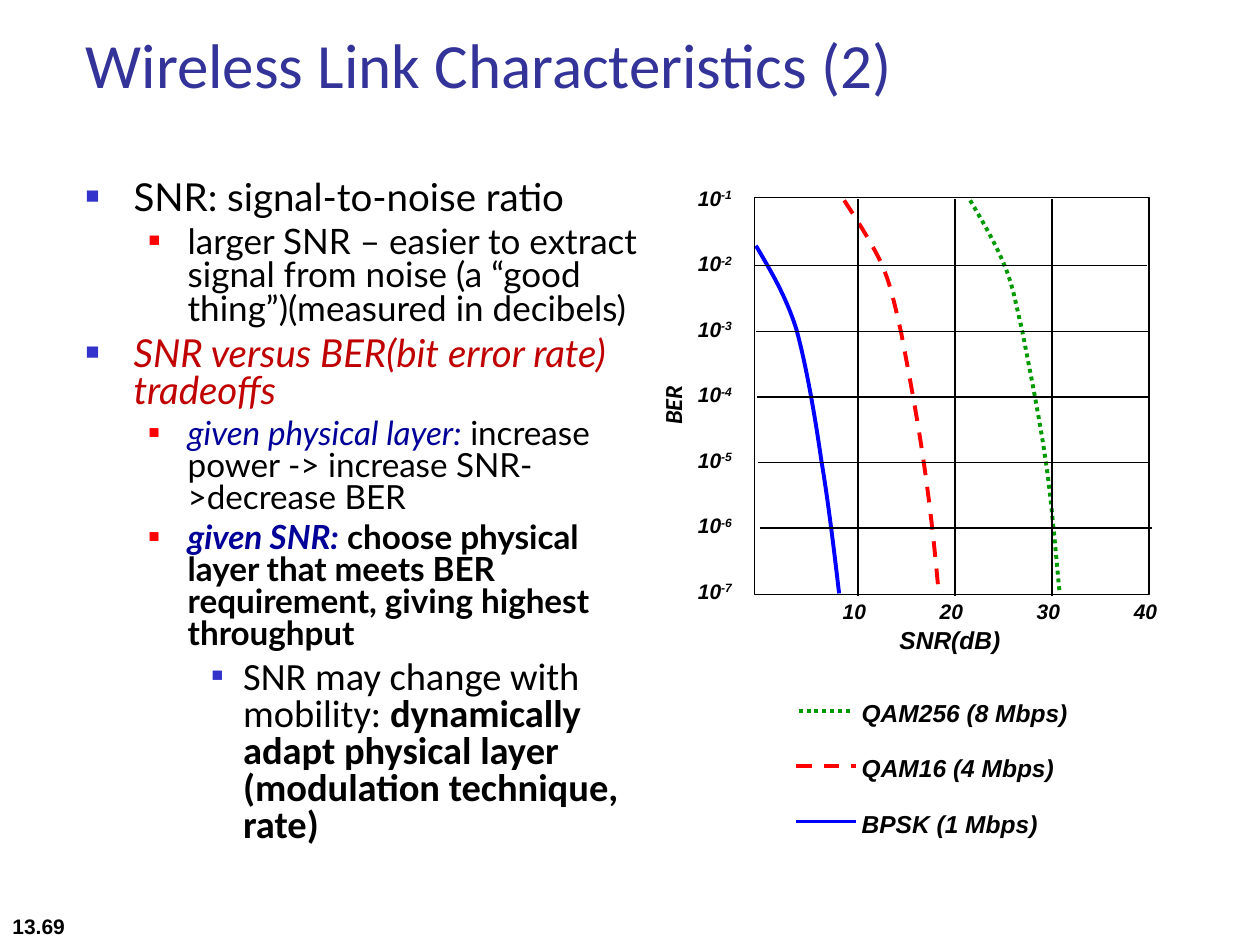
from lxml import etree
from pptx import Presentation
from pptx.dml.color import RGBColor
from pptx.enum import dml, shapes, text
from pptx.oxml import ns
from pptx.util import Inches, Pt

BLACK = RGBColor(0x00, 0x00, 0x00)
TITLE_BLUE = RGBColor(0x33, 0x33, 0x99)
BULLET_BLUE = RGBColor(0x33, 0x33, 0xCC)
NAVY = RGBColor(0x00, 0x00, 0x99)
DARK_RED = RGBColor(0xC0, 0x00, 0x00)
RED = RGBColor(0xFF, 0x00, 0x00)
BLUE = RGBColor(0x00, 0x00, 0xFF)
GREEN = RGBColor(0x00, 0x99, 0x00)

DASH = dml.MSO_LINE.DASH
DOTS = dml.MSO_LINE.ROUND_DOT  # written as sysDot

# Per list level: left margin, hanging indent, bullet colour, bullet size %
LEVELS = [
    (0.38, 0.38, BULLET_BLUE, 60),
    (0.81, 0.31, RED, 55),
    (1.25, 0.25, BULLET_BLUE, 50),
]

# Per paragraph: level, space before, runs of (text, format)
OUTLINE = [
    (0, 0, [("SNR: signal-to-noise ratio", dict(size=22))]),
    (1, 5, [("larger SNR – easier to extract signal from noise "
             "(a “good thing”)(measured in decibels)", dict(size=20))]),
    (0, 5.5, [("SNR versus BER(bit error rate) tradeoffs",
               dict(size=22, color=DARK_RED, italic=True))]),
    (1, 4.8, [("given physical layer:", dict(size=19, color=NAVY, italic=True)),
              (" increase power -> increase SNR->decrease BER", dict(size=19))]),
    (1, 4.8, [("given SNR:", dict(size=19, color=NAVY, bold=True, italic=True)),
              (" choose physical layer that meets BER requirement, "
               "giving highest throughput", dict(size=19, bold=True))]),
    (2, 5.5, [("SNR may change with mobility: ", dict(size=22, font="Calibri")),
              ("dynamically adapt physical layer (modulation technique, rate)",
               dict(size=22, font="Calibri", bold=True))]),
]

# Bézier control points, in inches from the top left corner of the plot
BPSK = [(0.01, 0.38), (0.12, 0.57), (0.24, 0.76), (0.33, 1.04), (0.41, 1.33),
        (0.48, 1.74), (0.53, 2.09), (0.59, 2.44), (0.65, 2.97), (0.67, 3.14)]
QAM16 = [(0.71, 0.02), (0.82, 0.19), (0.93, 0.36), (1.01, 0.53), (1.08, 0.7),
         (1.1, 0.8), (1.16, 1.06), (1.21, 1.32), (1.29, 1.74), (1.34, 2.09),
         (1.39, 2.43), (1.43, 2.79), (1.46, 3.14)]
QAM256 = [(1.71, 0.02), (1.81, 0.19), (1.91, 0.36), (1.98, 0.53), (2.05, 0.7),
          (2.06, 0.79), (2.12, 1.04), (2.17, 1.3), (2.26, 1.74), (2.31, 2.09),
          (2.36, 2.43), (2.4, 2.95), (2.42, 3.13)]


def add_text(paragraph, content, font="Arial", size=12, color=BLACK,
             bold=False, italic=False, superscript=False):
    run = paragraph.add_run()
    run.text = content
    run.font.name = font
    run.font.size = Pt(size)
    run.font.color.rgb = color
    run.font.bold = bold
    run.font.italic = italic
    if superscript:
        run._r.get_or_add_rPr().set("baseline", "30000")


def place(shape, left, top, width, height):
    shape.left, shape.top = Inches(left), Inches(top)
    shape.width, shape.height = Inches(width), Inches(height)


def add_label(slide, left, top, width, height, content, exponent="", **format):
    box = slide.shapes.add_textbox(
        Inches(left), Inches(top), Inches(width), Inches(height))
    box.text_frame.word_wrap = False
    box.text_frame.auto_size = text.MSO_AUTO_SIZE.SHAPE_TO_FIT_TEXT
    paragraph = box.text_frame.paragraphs[0]
    add_text(paragraph, content, bold=True, **format)
    if exponent:
        add_text(paragraph, exponent, bold=True, superscript=True, **format)
    return box


def style_line(line, color=BLACK, width=0.75, dash=None):
    line.color.rgb = color
    line.width = Pt(width)
    if dash:
        line.dash_style = dash


def add_line(slide, x1, y1, x2, y2, **style):
    connector = slide.shapes.add_connector(
        shapes.MSO_CONNECTOR.STRAIGHT,
        Inches(x1), Inches(y1), Inches(x2), Inches(y2))
    etree.SubElement(connector._element.spPr, ns.qn("a:effectLst"))
    style_line(connector.line, **style)


def set_bullet(paragraph, level):
    margin, hanging, color, percent = LEVELS[level]
    properties = paragraph._p.get_or_add_pPr()
    properties.set("marL", str(Inches(margin)))
    properties.set("indent", str(-Inches(hanging)))
    bullet_color = etree.SubElement(properties, ns.qn("a:buClr"))
    etree.SubElement(bullet_color, ns.qn("a:srgbClr"), val=str(color))
    etree.SubElement(properties, ns.qn("a:buSzPct"), val=str(percent * 1000))
    etree.SubElement(properties, ns.qn("a:buFont"), typeface="Arial")
    etree.SubElement(properties, ns.qn("a:buChar"), char="■")


def fill_title(title, left, top, width, height):
    place(title, left, top, width, height)
    frame = title.text_frame
    frame.auto_size = text.MSO_AUTO_SIZE.NONE
    frame.vertical_anchor = text.MSO_ANCHOR.TOP
    frame.paragraphs[0].alignment = text.PP_ALIGN.LEFT
    add_text(frame.paragraphs[0], "Wireless Link Characteristics (2)",
             font="Calibri", size=36, color=TITLE_BLUE)


def fill_outline(body, left, top, width, height):
    place(body, left, top, width, height)
    frame = body.text_frame
    frame.auto_size = text.MSO_AUTO_SIZE.NONE
    for index, (level, space, runs) in enumerate(OUTLINE):
        paragraph = frame.add_paragraph() if index else frame.paragraphs[0]
        paragraph.level = level
        set_bullet(paragraph, level)
        paragraph.line_spacing = 0.8
        paragraph.space_before = Pt(space)
        for content, format in runs:
            add_text(paragraph, content, **{"font": "Lato", **format})


def add_curve(slide, left, top, controls, **style):
    points = [(Inches(left + x), Inches(top + y)) for x, y in controls]
    builder = slide.shapes.build_freeform(*points[0])
    builder.add_line_segments(points[1:], close=False)
    curve = builder.convert_to_shape()
    # Join every three straight segments into one Bézier segment
    segments = list(curve._element.iter(ns.qn("a:lnTo")))
    outline = segments[0].getparent()
    for start in range(0, len(segments), 3):
        bezier = etree.SubElement(outline, ns.qn("a:cubicBezTo"))
        for segment in segments[start:start + 3]:
            bezier.append(segment[0])
            outline.remove(segment)
    curve.shadow.inherit = False
    curve.fill.background()
    style_line(curve.line, width=2.25, **style)


def add_plot(slide, left, top, width, height):
    # Error rate curves
    add_curve(slide, left, top, BPSK, color=BLUE)
    add_curve(slide, left, top, QAM16, color=RED, dash=DASH)
    add_curve(slide, left, top, QAM256, color=GREEN, dash=DOTS)
    # Frame and grid
    frame = slide.shapes.add_shape(
        shapes.MSO_SHAPE.RECTANGLE,
        Inches(left), Inches(top), Inches(width), Inches(height))
    frame.shadow.inherit = False
    frame.fill.background()
    style_line(frame.line)
    row, column = 0.52, 0.77
    for index in range(5):
        x, y = left + 0.01 * index, top + 0.54 + row * index
        add_line(slide, x, y, x + 3.11, y)
    for index in range(3):
        x = left + 0.82 + column * index
        add_line(slide, x, top + 0.01, x, top + height + 0.01)
    # Axis values and names
    for index in range(4):
        add_label(slide, left + 0.6 + column * index, top + height - 0.02,
                  0.4, 0.3, str(10 * (index + 1)), italic=True)
    for index in range(7):
        add_label(slide, left - 0.55, top - 0.15 + row * index, 0.48, 0.3,
                  "10", exponent=f"-{index + 1}", italic=True)
    add_label(slide, left + 1.05, top + 3.34, 1.01, 0.34, "SNR(dB)",
              size=14, italic=True)
    name = add_label(slide, left - 0.92, top + 1.46, 0.54, 0.34, "BER",
                     font="Calibri", size=14, italic=True)
    name.rotation = 270


def add_legend(slide, left, top):
    # Name, label width, line inset, colour, dash
    entries = [
        ("QAM256 (8 Mbps)", 1.86, 0.02, GREEN, DOTS),
        ("QAM16 (4 Mbps)", 1.75, 0, RED, DASH),
        ("BPSK (1 Mbps)", 1.62, 0, BLUE, None),
    ]
    for index, (name, width, inset, color, dash) in enumerate(entries):
        y = top + 0.44 * index
        add_line(slide, left + inset, y + 0.15, left + 0.47 - inset, y + 0.15,
                 color=color, width=2.25, dash=dash)
        add_label(slide, left + 0.42, y, width, 0.34, name, size=14, italic=True)


def add_page_number(slide, left, top, width, height):
    box = slide.shapes.add_textbox(
        Inches(left), Inches(top), Inches(width), Inches(height))
    box.text_frame.word_wrap = True
    box.text_frame.vertical_anchor = text.MSO_ANCHOR.BOTTOM
    add_text(box.text_frame.paragraphs[0], "13.69", bold=True)


def main():
    presentation = Presentation()
    presentation.slide_width, presentation.slide_height = Inches(10), Inches(7.5)
    slide = presentation.slides.add_slide(presentation.slide_layouts[1])
    fill_title(slide.shapes.title, 0.58, 0.15, 8.5, 1.25)
    fill_outline(slide.placeholders[1], 0.58, 1.39, 4.68, 5.68)
    add_plot(slide, 5.99, 1.57, 3.13, 3.15)
    add_legend(slide, 6.32, 5.49)
    add_page_number(slide, 0, 7, 2.08, 0.5)
    presentation.save("out.pptx")


if __name__ == "__main__":
    main()
